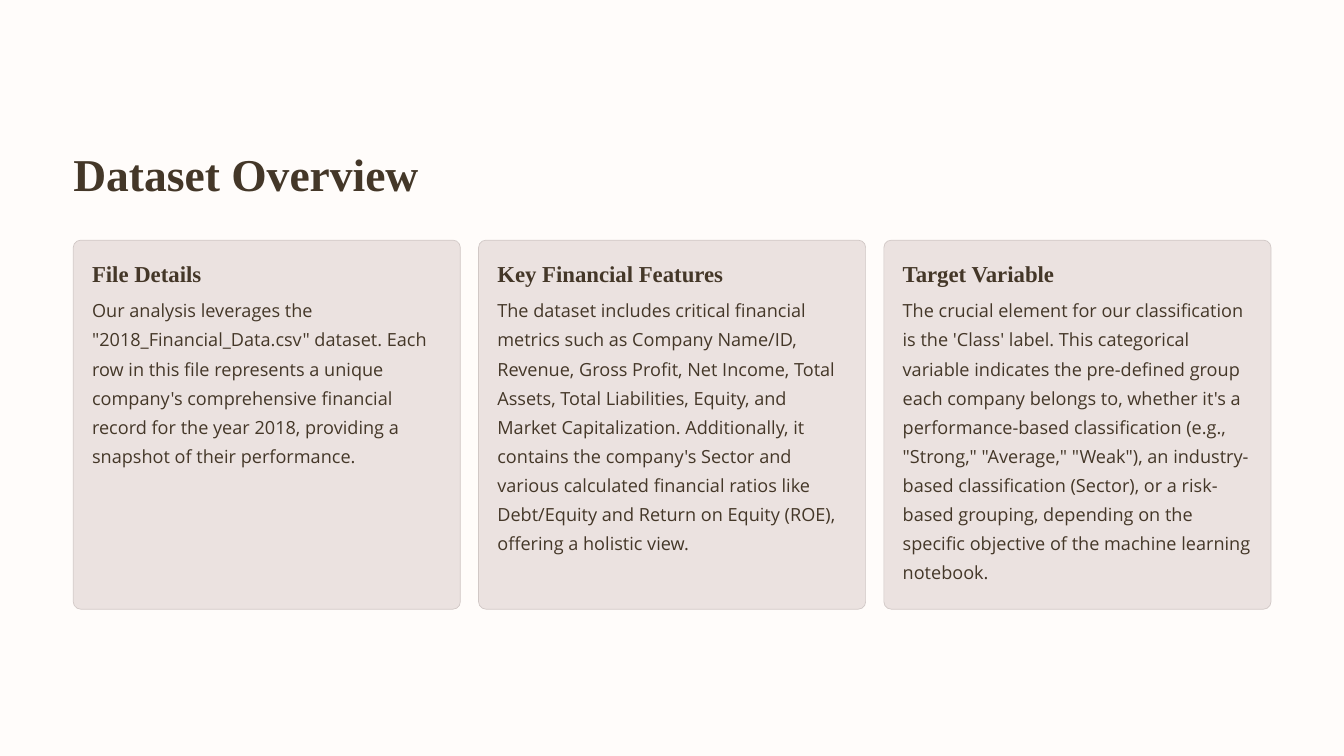
from pptx import Presentation
from pptx.dml.color import RGBColor
from pptx.enum.shapes import MSO_SHAPE
from pptx.util import Cm, Pt

ROUND = MSO_SHAPE.ROUNDED_RECTANGLE

COLORS = {"page": "FFFCFA", "card": "EBE2E0", "edge": "D1C8C6", "text": "443728"}
SERIF, SANS = "Times New Roman", "Open Sans"
STYLES = {
    "title": ({"name": SERIF, "size": Pt(48.8), "bold": True}, Pt(60.6)),
    "head": ({"name": SERIF, "size": Pt(24.4), "bold": True}, Pt(30)),
    "body": ({"name": SANS, "size": Pt(19.4), "bold": False}, Pt(31.2)),
}
FRAME = {
    "margin_left": 0,
    "margin_top": 0,
    "margin_right": 0,
    "margin_bottom": 0,
    "word_wrap": True,
}

LEFT, TOP = 2.77, 9.08
WIDTH, HEIGHT = 14.63, 13.95
PITCH, PAD = 15.32, 0.71

CARDS = [
    (
        "File Details",
        "Our analysis leverages the \"2018_Financial_Data.csv\" dataset. Each row "
        "in this file represents a unique company's comprehensive financial record "
        "for the year 2018, providing a snapshot of their performance.",
        6.86,
    ),
    (
        "Key Financial Features",
        "The dataset includes critical financial metrics such as Company Name/ID, "
        "Revenue, Gross Profit, Net Income, Total Assets, Total Liabilities, Equity, "
        "and Market Capitalization. Additionally, it contains the company's Sector "
        "and various calculated financial ratios like Debt/Equity and Return on "
        "Equity (ROE), offering a holistic view.",
        10.16,
    ),
    (
        "Target Variable",
        "The crucial element for our classification is the 'Class' label. This "
        "categorical variable indicates the pre-defined group each company belongs "
        "to, whether it's a performance-based classification (e.g., \"Strong,\" "
        "\"Average,\" \"Weak\"), an industry-based classification (Sector), or a "
        "risk-based grouping, depending on the specific objective of the machine "
        "learning notebook.",
        11.25,
    ),
]


def color(name):
    """Return the named colour."""
    return RGBColor.from_string(COLORS[name])


def apply(item, values):
    """Set each attribute in values on item."""
    for key, value in values.items():
        setattr(item, key, value)


def add_text(slide, text, style, left, top, width, height):
    """Add a text box in one of the named styles."""
    box = slide.shapes.add_textbox(Cm(left), Cm(top), Cm(width), Cm(height))
    apply(box.text_frame, FRAME)
    para = box.text_frame.paragraphs[0]
    para.text = text
    font, para.line_spacing = STYLES[style]
    apply(para.font, font)
    para.font.color.rgb = color("text")


def add_card(slide, left, head, body, tall):
    """Add a rounded card with its heading and body text."""
    card = slide.shapes.add_shape(ROUND, Cm(left), Cm(TOP), Cm(WIDTH), Cm(HEIGHT))
    card.adjustments[0] = 0.02
    card.shadow.inherit = False
    card.fill.solid()
    card.fill.fore_color.rgb = color("card")
    card.line.color.rgb = color("edge")
    card.line.width = Pt(0.75)
    add_text(slide, head, "head", left + PAD, 9.78, 8.61, 1.09)
    add_text(slide, body, "body", left + PAD, 11.05, WIDTH - 2 * PAD, tall)


def main():
    """Build the slide and save it."""
    deck = Presentation()
    deck.slide_width, deck.slide_height = Cm(50.8), Cm(28.58)
    slide = deck.slides.add_slide(deck.slide_layouts[6])
    fill = slide.background.fill
    fill.solid()
    fill.fore_color.rgb = color("page")
    add_text(slide, "Dataset Overview", "title", LEFT, 5.46, 17.22, 2.24)
    for i, (head, body, tall) in enumerate(CARDS):
        add_card(slide, LEFT + i * PITCH, head, body, tall)
    deck.save("out.pptx")


if __name__ == "__main__":
    main()
